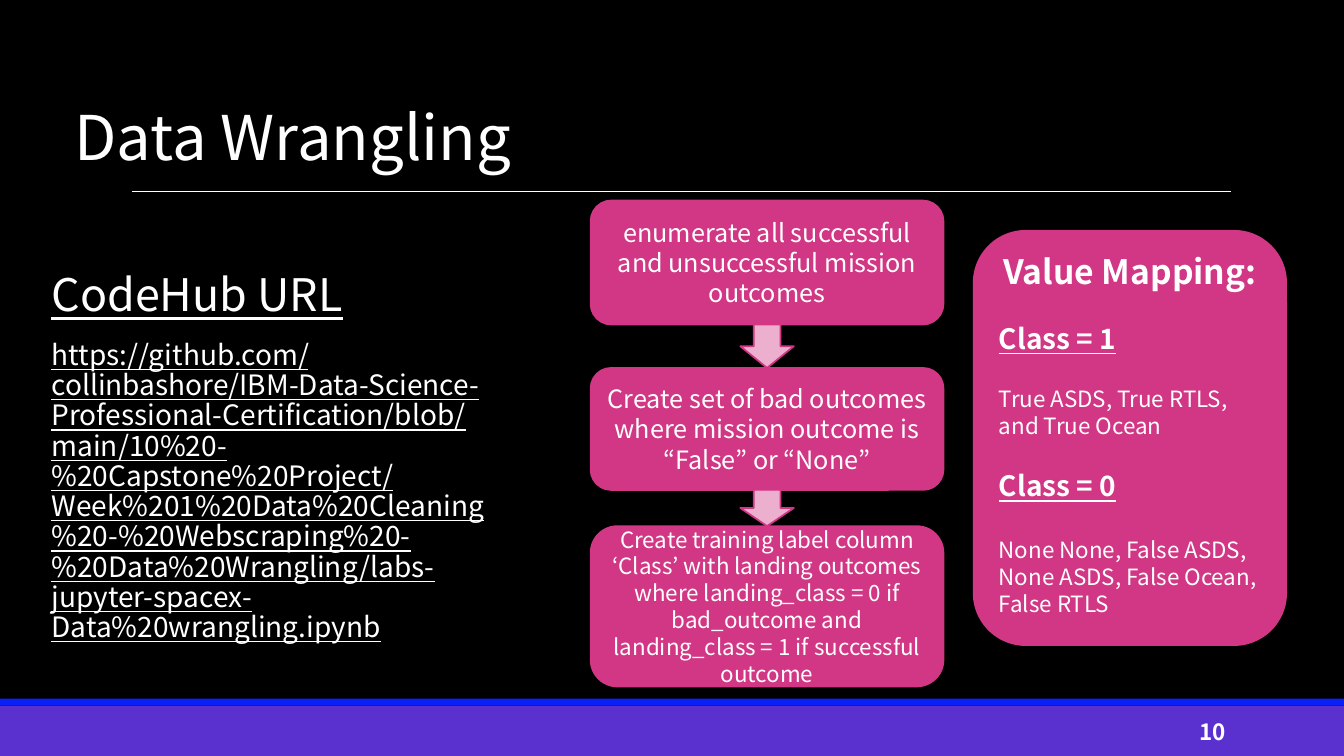
from pptx import Presentation
from pptx.dml.color import RGBColor
from pptx.enum.shapes import MSO_CONNECTOR, MSO_SHAPE
from pptx.enum.text import MSO_ANCHOR, PP_ALIGN
from pptx.oxml.ns import qn
from pptx.util import Inches, Pt
from lxml.etree import SubElement

WIDE, HIGH = Inches(13.33), Inches(7.5)
FONT = "Noto Sans CJK JP"
WHITE, PINK, PALE = "FFFFFF", "D13784", "EDAFCE"
STEP_X, STEP_W, ARROW_W = 43.95, 26.25, 3.98
STEPS = [
    (26.53, 16.4, 18, "enumerate all successful and unsuccessful mission outcomes"),
    (48.67, 16.13, 18, "Create set of bad outcomes where mission outcome is “False” or “None”"),
    (69.6, 21.2, 16, "Create training label column ‘Class’ with landing outcomes where "
     "landing_class = 0 if bad_outcome and landing_class = 1 if successful outcome"),
]
LINK = ("https://github.com/collinbashore/IBM-Data-Science-Professional-Certification"
        "/blob/main/10%20-%20Capstone%20Project/Week%201%20Data%20Cleaning%20-"
        "%20Webscraping%20-%20Data%20Wrangling/labs-jupyter-spacex-Data%20wrangling.ipynb")
HEAD = {"size": Pt(20), "bold": True, "underline": True}
BODY = {"size": Pt(16)}
MID = {"alignment": PP_ALIGN.CENTER}
LEFT = {"alignment": PP_ALIGN.LEFT}


def color(code):
    """Turn a hex string into a colour."""
    return RGBColor.from_string(code)


def place(x, y, w, h):
    """Turn percent shares of the slide into lengths."""
    return [round(part * side / 100) for part, side in zip((x, y, w, h), (WIDE, HIGH) * 2)]


def apply(item, form):
    """Set each attribute named in a dict."""
    for key, value in form.items():
        setattr(item, key, value)


def write(shape, paras, **frame):
    """Fill a shape with paragraphs of text, font dict and layout dict."""
    area = shape.text_frame
    apply(area, {"word_wrap": True, **frame})
    for at, (text, font, form) in enumerate(paras):
        para = area.add_paragraph() if at else area.paragraphs[0]
        apply(para, form)
        run = para.add_run()
        run.text = text
        apply(run.font, {"name": FONT, **font})
        run.font.color.rgb = color(WHITE)


def label(slide, spot, paras, **frame):
    """Add a text box."""
    box = slide.shapes.add_textbox(*place(*spot))
    write(box, paras, **frame)
    return box


def block(slide, kind, spot, fill, edge=None):
    """Add a flat filled shape with an optional edge."""
    shape = slide.shapes.add_shape(kind, *place(*spot))
    shape.shadow.inherit = False
    shape.fill.solid()
    shape.fill.fore_color.rgb = color(fill)
    if edge:
        shape.line.color.rgb = color(edge)
        shape.line.width = Pt(1.25)
    else:
        shape.line.fill.background()
    return shape


def rule(slide, left, right, y):
    """Add a thin white level line."""
    x, top, end, low = place(left, y, right, y)
    line = slide.shapes.add_connector(MSO_CONNECTOR.STRAIGHT, x, top, end, low)
    line.line.color.rgb = color(WHITE)
    line.line.width = Pt(0.5)
    SubElement(line._element.spPr, qn("a:effectLst"))


def flow(slide):
    """Add the steps with an arrow filling each gap."""
    for y, h, size, text in STEPS:
        card = block(slide, MSO_SHAPE.ROUNDED_RECTANGLE, (STEP_X, y, STEP_W, h), PINK, PINK)
        write(card, [(text, {"size": Pt(size)}, MID)], vertical_anchor=MSO_ANCHOR.MIDDLE)
    x = STEP_X + (STEP_W - ARROW_W) / 2
    for (y, h, *_), (below, *_) in zip(STEPS, STEPS[1:]):
        block(slide, MSO_SHAPE.DOWN_ARROW, (x, y + h, ARROW_W, below - y - h), PALE, PINK)


def values(slide):
    """Add the value mapping card."""
    card = block(slide, MSO_SHAPE.ROUNDED_RECTANGLE, (72.45, 30.53, 23.25, 54.8), PINK, PINK)
    gap = {**LEFT, "space_before": Pt(21.5)}
    write(card, [
        ("Value Mapping:", {"size": Pt(24), "bold": True}, MID),
        ("Class = 1", HEAD, gap),
        ("True ASDS, True RTLS, and True Ocean", BODY, gap),
        ("Class = 0", HEAD, gap),
        ("None None, False ASDS, None ASDS, False Ocean,", BODY,
         {**LEFT, "space_before": Pt(24)}),
        ("False RTLS", BODY, LEFT),
    ], vertical_anchor=MSO_ANCHOR.TOP)


def source(slide):
    """Add the link with its heading."""
    tight = {"line_spacing": 0.9, "space_after": Pt(2)}
    box = label(slide, (3.08, 35.47, 33.52, 46.67), [
        ("CodeHub URL", {"size": Pt(32), "underline": True}, tight),
        (LINK, {"size": Pt(20), "underline": True}, {**tight, "space_before": Pt(12)}),
    ], margin_left=0, margin_right=0)
    for para in box.text_frame.paragraphs:
        para._p.get_or_add_pPr().set("marL", str(Inches(0.1)))


def main():
    """Build and save the slide."""
    deck = Presentation()
    apply(deck, {"slide_width": WIDE, "slide_height": HIGH})
    slide = deck.slides.add_slide(deck.slide_layouts[6])
    slide.background.fill.solid()
    slide.background.fill.fore_color.rgb = color("000000")
    block(slide, MSO_SHAPE.RECTANGLE, (0, 93.33, 100, 6.67), "5A31CF")
    block(slide, MSO_SHAPE.RECTANGLE, (0, 92.4, 100, 0.93), "0A20F6")
    rule(slide, 9.83, 91.57, 25.33)
    label(slide, (81.22, 94.13, 10.72, 5.33),
          [("10", {"size": Pt(16), "bold": True}, {"alignment": PP_ALIGN.RIGHT})],
          vertical_anchor=MSO_ANCHOR.MIDDLE)
    label(slide, (4.8, 14.53, 86.25, 8),
          [("Data Wrangling", {"size": Pt(44)}, {"line_spacing": 0.9})],
          vertical_anchor=MSO_ANCHOR.MIDDLE)
    source(slide)
    flow(slide)
    values(slide)
    deck.save("out.pptx")


if __name__ == "__main__":
    main()
